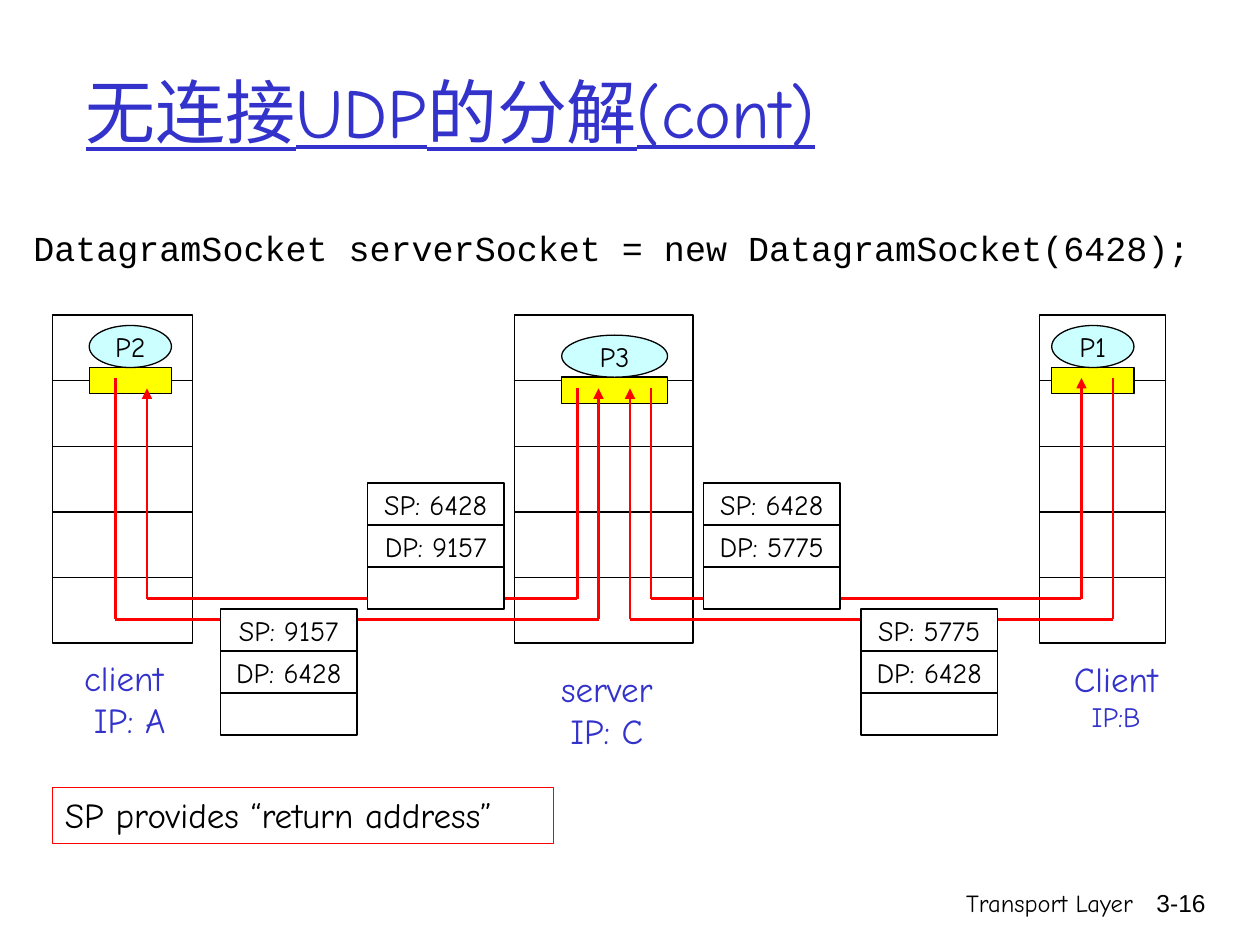
from itertools import pairwise

from lxml import etree
from pptx import Presentation
from pptx.dml.color import RGBColor
from pptx.enum.shapes import MSO_CONNECTOR, MSO_SHAPE
from pptx.enum.text import MSO_ANCHOR, PP_ALIGN
from pptx.oxml.ns import qn
from pptx.util import Pt

RECTANGLE, OVAL = MSO_SHAPE.RECTANGLE, MSO_SHAPE.OVAL
STRAIGHT = MSO_CONNECTOR.STRAIGHT
LEFT, CENTER, RIGHT = PP_ALIGN.LEFT, PP_ALIGN.CENTER, PP_ALIGN.RIGHT
TOP, MIDDLE = MSO_ANCHOR.TOP, MSO_ANCHOR.MIDDLE

BLACK = RGBColor(0x00, 0x00, 0x00)
WHITE = RGBColor(0xFF, 0xFF, 0xFF)
BLUE = RGBColor(0x33, 0x33, 0xCC)
CYAN = RGBColor(0xCC, 0xFF, 0xFF)
YELLOW = RGBColor(0xFF, 0xFF, 0x00)
RED = RGBColor(0xFF, 0x00, 0x00)

HAND, SANS, MONO = "Comic Neue", "Arial", "Courier New"
HOST_LAYERS, LAYER_HEIGHT = 5, 37.5
SOCKET_HEIGHT = 15
FIELD_HEIGHT = 24

HOSTS = [
    ((30, 180, 80), "P2", (51, 186, 47, 24),
     [("client", 20), (" IP: A", 20)], (36.5, 371.5, 68.5, 55.5)),
    ((594, 180, 72), "P1", (601, 186, 47, 24),
     [("Client", 20), ("IP:B", 16)], (603.5, 372, 68.5, 50.5)),
    ((294, 180, 102), "P3", (321, 191.5, 60.5, 24),
     [("server", 20), ("IP: C", 20)], (309, 378, 75.5, 55.5)),
]
ROUTES = [
    [(66, 216), (66, 354), (342, 354), (342, 222)],
    [(330, 222), (330, 342), (84, 342), (84, 222)],
    [(636, 216), (636, 354), (360, 354), (360, 222)],
    [(372, 222), (372, 342), (618, 342), (618, 216)],
]
SEGMENTS = [
    ((210, 276, 78), 6428, 9157),
    ((126, 348, 78), 9157, 6428),
    ((402, 276, 78), 6428, 5775),
    ((492, 348, 78), 5775, 6428),
]


def write_lines(shape, lines, font=HAND, color=BLACK, align=LEFT, anchor=TOP):
    """Write (text, size) lines into a shape, one paragraph each."""
    frame = shape.text_frame
    frame.word_wrap = True
    frame.vertical_anchor = anchor
    for index, (text, size) in enumerate(lines):
        paragraph = frame.add_paragraph() if index else frame.paragraphs[0]
        paragraph.alignment = align
        run = paragraph.add_run()
        run.text = text
        run.font.name = font
        run.font.size = Pt(size)
        run.font.color.rgb = color


def add_text(slide, box, lines, **style):
    """Add a text box in the given box."""
    shape = slide.shapes.add_textbox(*map(Pt, box))
    write_lines(shape, lines, **style)
    return shape


def add_block(slide, kind, box, fill, label=None, outline=BLACK):
    """Add a thinly outlined shape with an optional centred label."""
    shape = slide.shapes.add_shape(kind, *map(Pt, box))
    shape.shadow.inherit = False
    if fill is None:
        shape.fill.background()
    else:
        shape.fill.solid()
        shape.fill.fore_color.rgb = fill
    shape.line.color.rgb = outline
    shape.line.width = Pt(0.75)
    if label:
        frame = shape.text_frame
        frame.margin_left = frame.margin_right = 0
        frame.margin_top = frame.margin_bottom = 0
        write_lines(shape, [(label, 16)], align=CENTER, anchor=MIDDLE)
    return shape


def add_title(slide, box):
    """Add the underlined slide title."""
    title = add_text(slide, box, [("无连接UDP的分解(cont)", 40)],
                     color=BLUE, anchor=MIDDLE)
    title.text_frame.paragraphs[0].runs[0].font.underline = True


def add_host(slide, stack, process, process_box, caption, caption_box):
    """Add a host: its layer stack, process, socket and caption."""
    left, top, width = stack
    for layer in range(HOST_LAYERS):
        layer_box = (left, top + layer * LAYER_HEIGHT, width, LAYER_HEIGHT)
        add_block(slide, RECTANGLE, layer_box, WHITE)
    x, y, process_width, process_height = process_box
    socket_box = (x, y + process_height, process_width, SOCKET_HEIGHT)
    add_block(slide, RECTANGLE, socket_box, YELLOW)
    add_block(slide, OVAL, process_box, CYAN, process)
    add_text(slide, caption_box, caption, color=BLUE, align=CENTER)


def add_route(slide, points):
    """Add a red route through the points with an arrowhead at its end."""
    for start, end in pairwise(points):
        connector = slide.shapes.add_connector(STRAIGHT, *map(Pt, start + end))
        connector.line.color.rgb = RED
        connector.line.width = Pt(1.5)
        properties = connector._element.spPr
        etree.SubElement(properties, qn("a:effectLst"))
    etree.SubElement(properties.find(qn("a:ln")), qn("a:tailEnd"), type="triangle")


def add_segment(slide, corner, source_port, destination_port):
    """Add a UDP segment with its two ports and an empty payload."""
    left, top, width = corner
    fields = [f"SP: {source_port}", f"DP: {destination_port}", None]
    for index, label in enumerate(fields):
        box = (left, top + index * FIELD_HEIGHT, width, FIELD_HEIGHT)
        add_block(slide, RECTANGLE, box, WHITE, label)


def add_note(slide, box):
    """Add the red framed remark on the source port."""
    note = add_block(slide, RECTANGLE, box, None, outline=RED)
    write_lines(note, [("SP provides “return address”", 20)])


def add_footer(slide, chapter_box, number_box):
    """Add the chapter name and the page number."""
    add_text(slide, chapter_box, [("Transport Layer", 14)], align=RIGHT)
    add_text(slide, number_box, [("3-16", 14)], font=SANS, align=RIGHT)


def main():
    """Build and save the slide."""
    presentation = Presentation()
    presentation.slide_width, presentation.slide_height = Pt(720), Pt(540)
    slide = presentation.slides.add_slide(presentation.slide_layouts[6])
    add_footer(slide, (426, 504, 228.5, 36), (643, 504, 53, 36))
    add_title(slide, (42, 18, 612, 90))
    add_text(slide, (12, 126, 684, 48),
             [("DatagramSocket serverSocket = new DatagramSocket(6428);", 20)],
             font=MONO)
    for host in HOSTS:
        add_host(slide, *host)
    for route in ROUTES:
        add_route(slide, route)
    for segment in SEGMENTS:
        add_segment(slide, *segment)
    add_note(slide, (30, 450, 286.5, 32))
    presentation.save("out.pptx")


if __name__ == "__main__":
    main()
